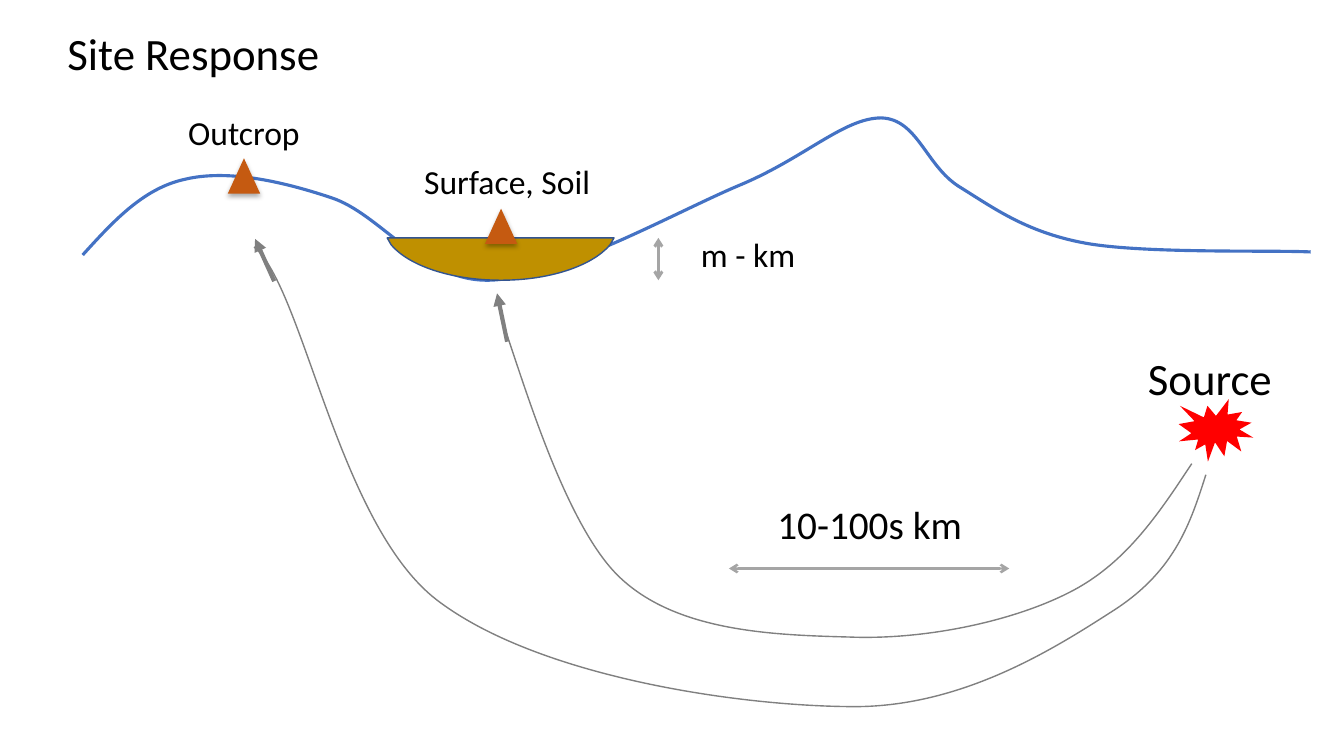
from dataclasses import dataclass
from itertools import chain

from lxml import etree
from pptx import Presentation
from pptx.dml.color import RGBColor
from pptx.enum.shapes import MSO_CONNECTOR, MSO_SHAPE
from pptx.enum.text import MSO_AUTO_SIZE, PP_ALIGN
from pptx.oxml.ns import qn
from pptx.util import Inches, Pt

TRIANGLE = MSO_SHAPE.ISOSCELES_TRIANGLE
BURST = MSO_SHAPE.EXPLOSION1
STRAIGHT = MSO_CONNECTOR.STRAIGHT
FIT = MSO_AUTO_SIZE.SHAPE_TO_FIT_TEXT
LEFT, CENTER = PP_ALIGN.LEFT, PP_ALIGN.CENTER
COLUMNS, ROWS = 13.33, 7.5


@dataclass(frozen=True)
class Theme:
    font: str = "Calibri"
    text: str = "000000"
    terrain: str = "4472C4"
    soil: str = "BF9000"
    soil_edge: str = "325491"
    station: str = "C55A11"
    source: str = "FF0000"
    ray: str = "808080"
    scale: str = "A5A5A5"
    label: int = 24
    distance: int = 28
    heading: int = 32


def apply(target, values):
    for name, value in values.items():
        setattr(target, name, value)


class Sketch:
    def __init__(self, theme):
        self.theme = theme
        self.deck = Presentation()
        apply(self.deck, {"slide_width": Inches(COLUMNS), "slide_height": Inches(ROWS)})
        self.page = self.deck.slides.add_slide(self.deck.slide_layouts[6])
        self.column = self.deck.slide_width / COLUMNS
        self.row = self.deck.slide_height / ROWS

    def place(self, *cells):
        units = (self.column, self.row)
        return [round(cell * units[index % 2]) for index, cell in enumerate(cells)]

    def paint(self, shape, fill=None, line=None, width=1):
        shape.shadow.inherit = False
        for target, color in ((shape.fill, fill), (shape.line.fill, line)):
            if color:
                target.solid()
                target.fore_color.rgb = RGBColor.from_string(color)
            else:
                target.background()
        if line:
            shape.line.width = Pt(width)

    def shape(self, kind, area, fill):
        shape = self.page.shapes.add_shape(kind, *self.place(*area))
        self.paint(shape, fill)
        return shape

    def station(self, left, top):
        marker = self.shape(TRIANGLE, (left, top, 0.32, 0.35), self.theme.station)
        effects = marker.element.spPr.find(qn("a:effectLst"))
        shadow = etree.SubElement(
            effects, qn("a:outerShdw"), blurRad=str(Pt(3.5)), dist=str(Pt(2.2)),
            dir="5400000", rotWithShape="0")
        color = etree.SubElement(shadow, qn("a:srgbClr"), val="000000")
        etree.SubElement(color, qn("a:alpha"), val="32000")

    def text(self, wording, area, size, align=CENTER):
        box = self.page.shapes.add_textbox(*self.place(*area))
        apply(box.text_frame, {"word_wrap": True, "auto_size": FIT})
        para = box.text_frame.paragraphs[0]
        para.alignment = align
        span = para.add_run()
        span.text = wording
        apply(span.font, {"name": self.theme.font, "size": Pt(size)})
        span.font.color.rgb = RGBColor.from_string(self.theme.text)

    def outline(self, start, segments, line, width=1, fill=None):
        builder = self.page.shapes.build_freeform(*self.place(*start))
        points = [self.place(*point) for point in chain.from_iterable(segments)]
        builder.add_line_segments(points, close=fill is not None)
        shape = builder.convert_to_shape()
        steps = iter(list(shape.element.spPr.iter(qn("a:lnTo"))))
        for segment in segments:
            first, *others = [next(steps) for _ in segment]
            if others:
                first.tag = qn("a:cubicBezTo")
            for step in others:
                first.append(step[0])
                step.getparent().remove(step)
        self.paint(shape, fill, line, width)

    def arrow(self, start, end, color, width, **ends):
        arrow = self.page.shapes.add_connector(STRAIGHT, *self.place(*start, *end))
        arrow.line.color.rgb = RGBColor.from_string(color)
        arrow.line.width = Pt(width)
        properties = arrow.element.spPr
        for name, kind in ends.items():
            etree.SubElement(properties.find(qn("a:ln")), qn(f"a:{name}End"), type=kind)
        etree.SubElement(properties, qn("a:effectLst"))


def main():
    theme = Theme()
    sketch = Sketch(theme)

    sketch.outline((0.82, 2.53), [
        ((1.12, 2.2), (1.42, 1.87), (1.83, 1.78)),
        ((2.24, 1.68), (2.77, 1.79), (3.28, 1.96)),
        ((3.78, 2.12), (4.19, 2.8), (4.86, 2.78)),
        ((5.54, 2.76), (6.69, 2.11), (7.33, 1.84)),
        ((7.98, 1.57), (8.37, 1.17), (8.74, 1.17)),
        ((9.1, 1.18), (9.18, 1.64), (9.51, 1.85)),
        ((9.85, 2.06), (10.17, 2.3), (10.75, 2.41)),
        ((11.33, 2.52), (12.62, 2.48), (13, 2.5)),
    ], theme.terrain, 2.25)
    sketch.outline((3.84, 2.36), [
        ((6.09, 2.36),),
        ((6.05, 2.43),),
        ((5.87, 2.64), (5.45, 2.78), (4.97, 2.78)),
        ((4.48, 2.78), (4.06, 2.64), (3.88, 2.43)),
    ], theme.soil_edge, fill=theme.soil)

    sketch.station(2.26, 1.57)
    sketch.text("Outcrop", (1.62, 1.06, 1.6, 0.5), theme.label)
    sketch.station(4.81, 2.07)
    sketch.text("Surface, Soil", (4.03, 1.55, 2, 0.5), theme.label)
    sketch.shape(BURST, (11.69, 3.96, 0.74, 0.62), theme.source)
    sketch.text("Source", (11, 3.43, 2, 0.64), theme.heading)

    both = {"head": "arrow", "tail": "arrow"}
    sketch.arrow((7.23, 5.64), (10.01, 5.64), theme.scale, 1.75, **both)
    sketch.text("10-100s km", (7.42, 4.91, 2.41, 0.57), theme.distance)
    sketch.arrow((6.53, 2.36), (6.53, 2.78), theme.scale, 2, **both)
    sketch.text("m - km", (6.53, 2.27, 1.78, 0.5), theme.label)
    sketch.text("Site Response", (0.57, 0.21, 4.58, 0.64), theme.heading, LEFT)

    sketch.outline((11.82, 4.6), [
        ((11.49, 5.1), (11.16, 5.6), (10.6, 5.88)),
        ((10.03, 6.17), (9.16, 6.35), (8.42, 6.32)),
        ((7.68, 6.3), (6.73, 6.27), (6.16, 5.74)),
        ((5.58, 5.21), (5.14, 3.6), (4.97, 3.16)),
    ], theme.ray)
    sketch.outline((11.96, 4.71), [
        ((11.81, 5.18), (11.66, 5.65), (11.07, 6.04)),
        ((10.48, 6.42), (9.54, 7.03), (8.42, 7.01)),
        ((7.29, 7), (5.32, 6.71), (4.33, 5.95)),
        ((3.35, 5.19), (3.01, 2.85), (2.52, 2.45)),
    ], theme.ray)
    for start, end in (((2.72, 2.79), (2.53, 2.37)), ((5.03, 3.39), (4.93, 2.91))):
        sketch.arrow(start, end, theme.ray, 3, tail="triangle")

    sketch.deck.save("out.pptx")


if __name__ == "__main__":
    main()
